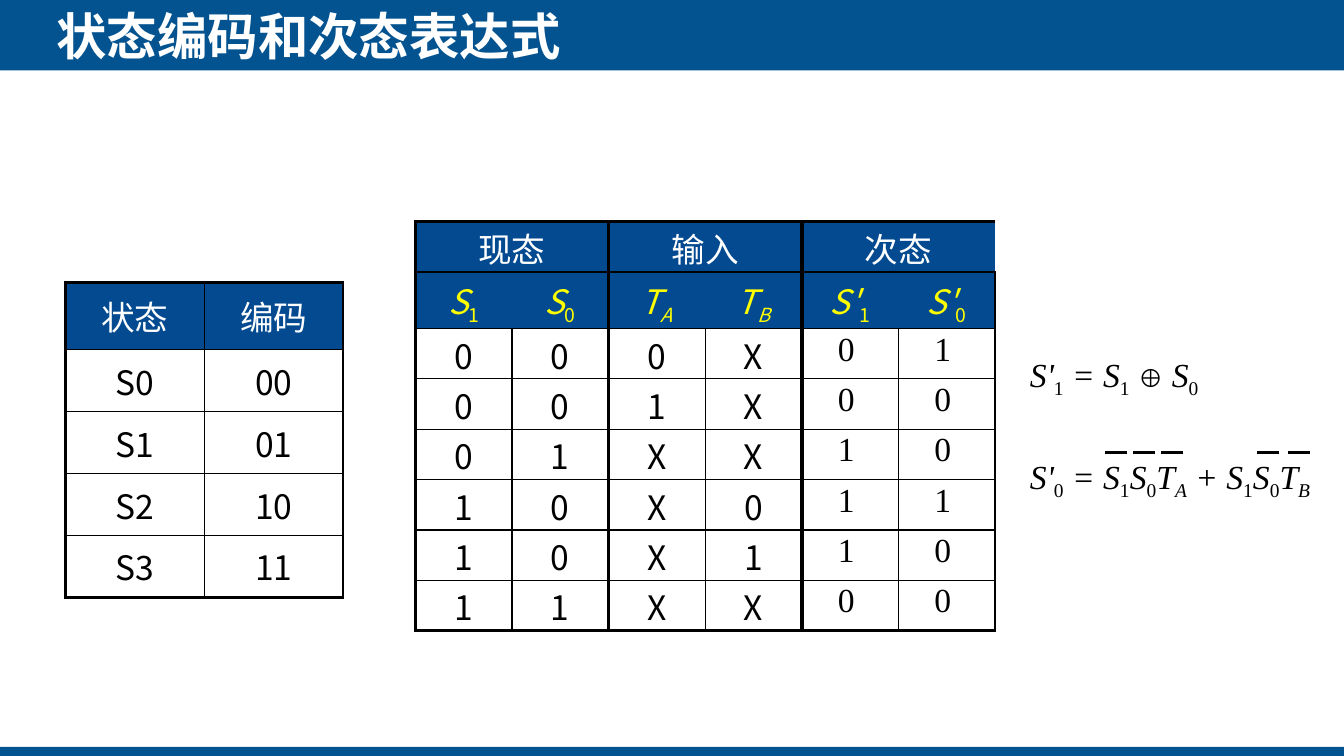
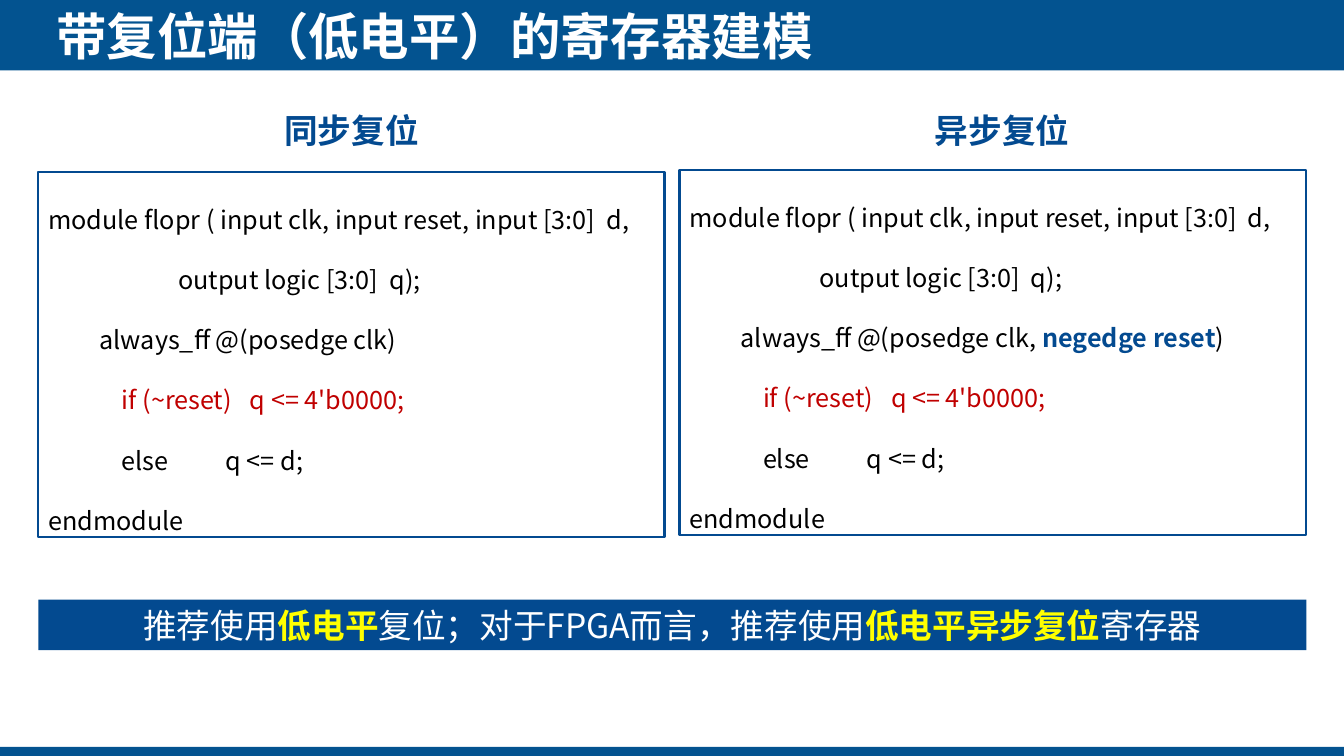
from lxml.etree import SubElement
from pptx import Presentation
from pptx.dml.color import RGBColor
from pptx.enum.shapes import MSO_CONNECTOR, MSO_SHAPE
from pptx.enum.text import MSO_ANCHOR, MSO_AUTO_SIZE, PP_ALIGN
from pptx.oxml.ns import qn
from pptx.util import Inches, Pt

WIDE, HIGH = Inches(13.33), Inches(7.5)
BAND, NAVY, BLACK, WHITE = "035390", "034A90", "000000", "FFFFFF"
YELLOW, RED = "FFFF00", "C00000"
SANS, SERIF = "Noto Sans CJK SC", "Times New Roman"
HEAD = {"name": SANS, "size": Pt(36), "bold": True, "color": WHITE}
BODY = {"name": SANS, "size": Pt(24), "color": BLACK}
LABEL = {**BODY, "color": WHITE}
CODE = {**BODY, "size": Pt(18)}
MATH = {**BODY, "name": SERIF}
MARK = {"color": YELLOW, "bold": True}
CENTER, LEFT = PP_ALIGN.CENTER, PP_ALIGN.LEFT
MIDDLE, BOTTOM = MSO_ANCHOR.MIDDLE, MSO_ANCHOR.BOTTOM


def place(box):
    """Turn a box in percent of the slide into lengths."""
    x, y, w, h = box
    return [int(part * side / 100) for part, side in zip((x, y, w, h), (WIDE, HIGH) * 2)]


def paint(fill, color):
    """Fill with a hex colour, or clear the fill."""
    if color:
        fill.solid()
        fill.fore_color.rgb = RGBColor.from_string(color)
    else:
        fill.background()


def write(par, runs, style, **form):
    """Write runs of (text, changes) into a paragraph."""
    for key, value in form.items():
        setattr(par, key, value)
    for text, change in runs:
        run = par.add_run()
        run.text = text
        look = {**style, **change}
        paint(run.font.fill, look.pop("color"))
        base = look.pop("base", 0)
        for key, value in look.items():
            setattr(run.font, key, value)
        props = run._r.get_or_add_rPr()
        SubElement(props, qn("a:ea")).set("typeface", look["name"])
        if base:
            props.set("baseline", str(base))


def terms(text):
    """Split a formula into runs; the sign after each underscore is a subscript."""
    runs = []
    for spot, chunk in enumerate(text.split("_")):
        if spot:
            runs.append((chunk[0], {"base": -25000, "italic": chunk[0].isalpha()}))
            chunk = chunk[1:]
        for bit in chunk.partition("⊕"):
            if bit == "⊕":
                runs.append((bit, {"name": "Arial", "size": Pt(18)}))
            elif bit:
                runs.append((bit, {"italic": True}))
    return runs


def block(slide, box, fill=None, line=None):
    """Add a flat rectangle."""
    shape = slide.shapes.add_shape(MSO_SHAPE.RECTANGLE, *place(box))
    shape.shadow.inherit = False
    paint(shape.fill, fill)
    paint(shape.line.fill, line)
    if line:
        shape.line.width = Pt(1.5)
    return shape


def setup(frame, **form):
    """Set wrapping, size and anchor of a text frame."""
    look = {"word_wrap": True, "auto_size": MSO_AUTO_SIZE.NONE,
            "vertical_anchor": MIDDLE, **form}
    for key, value in look.items():
        setattr(frame, key, value)
    return frame


def label(slide, box, runs, style, **form):
    """Add a one-line centred text box."""
    frame = setup(slide.shapes.add_textbox(*place(box)).text_frame)
    write(frame.paragraphs[0], runs, style, alignment=CENTER, **form)


def start(deck, title):
    """Add a slide with its title."""
    slide = deck.slides.add_slide(deck.slide_layouts[5])
    head = slide.shapes.title
    head.left, head.top, head.width, head.height = place((4.2, 0.67, 64.3, 8.13))
    sides = ("margin_left", "margin_top", "margin_right", "margin_bottom")
    frame = setup(head.text_frame, **dict.fromkeys(sides, 0))
    write(frame.paragraphs[0], [(title, {})], HEAD, alignment=LEFT)
    return slide


def bands(deck, slide):
    """Move the top and bottom bands onto the shared layout."""
    tree = deck.slide_layouts[5].shapes._spTree
    for box in ((0, 0, 100, 9.33), (0, 98.8, 100, 1.2)):
        tree.insert(2, block(slide, box, BAND)._element)


def border(cell, widths):
    """Draw the left, right, top and bottom borders of a cell."""
    props = cell._tc.get_or_add_tcPr()
    for side, width in zip("LRTB", widths):
        edge = SubElement(props, qn("a:ln" + side), w=str(int(Pt(width))))
        if width:
            solid = SubElement(edge, qn("a:solidFill"))
            SubElement(solid, qn("a:srgbClr"), val=BLACK)
        else:
            SubElement(edge, qn("a:noFill"))


def grid(slide, box, rows, shares, heads, anchor, pad, gap, thick=()):
    """Add a table; paired heading columns share one cell."""
    down, across = len(rows), len(rows[0])
    left, top, wide, high = place(box)
    table = slide.shapes.add_table(down, across, left, top, wide, high).table
    table.first_row = table.horz_banding = False
    for col in table.columns:
        col.width = wide // across
    for row, share in zip(table.rows, shares):
        row.height = int(high * share / sum(shares))

    def rule(row, line):
        """Give the width of a vertical line."""
        if line in (0, across):
            return 2.25
        if line in thick:
            return 3
        return 0 if thick and row < heads and line % 2 else 1

    for r, row in enumerate(rows):
        for c, runs in enumerate(row):
            cell = table.cell(r, c)
            border(cell, (rule(r, c), rule(r, c + 1),
                          1 if r else 2.25, 1 if r < down - 1 else 2.25))
            paint(cell.fill, NAVY if r < heads else None)
            cell.vertical_anchor = anchor
            cell.margin_top = cell.margin_bottom = pad
            if runs:
                write(cell.text_frame.paragraphs[0], runs, LABEL if r < heads else BODY,
                      alignment=CENTER, space_before=gap)
    return table


def plain(*words):
    """Make a table row of plain words."""
    return [[(word, {})] if word else [] for word in words]


def codes(slide, box):
    """Add the state coding table."""
    pairs = ("状态", "编码"), ("S0", "00"), ("S1", "01"), ("S2", "10"), ("S3", "11")
    rows = [plain(*pair) for pair in pairs]
    grid(slide, box, rows, [67] + [61.5] * 4, 1, MIDDLE, Inches(0.05), Pt(2))


def states(slide, box):
    """Add the state transition table with its next-state digits."""
    names = ("S_1", "S_0", "T_A", "T_B", "S'_1", "S'_0")
    keys = [[(text, {**look, "color": YELLOW}) for text, look in terms(name)]
            for name in names]
    body = [plain(*line, "", "") for line in ("000X", "001X", "01XX", "10X0", "10X1", "11XX")]
    rows = [plain("现态", "", "输入", "", "次态", ""), keys, *body]
    shares = [50, 56] + [50] * 6
    table = grid(slide, box, rows, shares, 2, BOTTOM, 0, Pt(1), (2, 4))
    for c in (0, 2, 4):
        table.cell(0, c).merge(table.cell(0, c + 1))
    x, y, w, h = box
    step, row = w / 6, h * 50 / sum(shares)
    first = y + h * 106 / sum(shares) - 0.8
    for r, digits in enumerate(("01", "00", "10", "11", "10", "00")):
        for c, digit in enumerate(digits, 4):
            spot = (x + c * step - 0.3, first + r * row, step, row)
            label(slide, spot, [(digit, {})], MATH, space_before=Pt(2))


def logic(slide, box):
    """Add the next-state formulas and the bars over negated terms."""
    x, y, w, h = box
    frame = setup(slide.shapes.add_textbox(*place(box)).text_frame,
                  vertical_anchor=MSO_ANCHOR.TOP)
    write(frame.paragraphs[0], terms("S'_1 = S_1 ⊕ S_0"), MATH, space_before=Pt(2))
    write(frame.add_paragraph(), terms("S'_0 = S_1S_0T_A + S_1S_0T_B"), MATH,
          space_before=Pt(40))
    for shift in (6.3, 8.4, 10.5, 17.65, 19.95):
        left, top, wide, _ = place((x + shift, y + 13.73, 1.63, 0))
        bar = slide.shapes.add_connector(MSO_CONNECTOR.STRAIGHT, left, top, left + wide, top)
        paint(bar.line.fill, BLACK)
        bar.line.width = Pt(1.5)
        SubElement(bar._element.spPr, qn("a:effectLst"))


def panel(slide, box, title, shift, clock):
    """Add a code panel with its heading."""
    x, y, w, h = box
    label(slide, (x + w * 0.18 + shift, 13.87, w * 0.64, 6.67), [(title, {})],
          {**BODY, "color": NAVY, "bold": True})
    lines = (
        ([("module flopr ( input clk, input reset, input [3:0]  d,", {})], ()),
        ([("\toutput logic [3:0]  q);", {})], (1.29,)),
        ([("\talways_ff @(posedge clk", {}), *clock, (")", {})], (0.51,)),
        ([("\tif (~reset)\tq <= 4'b0000;", {"color": RED})], (0.73, 2)),
        ([("\telse\tq <= d;", {})], (0.73, 1.76)),
        ([("endmodule", {})], ()),
    )
    frame = setup(block(slide, box, line=NAVY).text_frame)
    for spot, (runs, stops) in enumerate(lines):
        par = frame.add_paragraph() if spot else frame.paragraphs[0]
        write(par, runs, CODE, alignment=LEFT, line_spacing=Pt(43))
        if stops:
            tabs = SubElement(par._p.get_or_add_pPr(), qn("a:tabLst"))
            for stop in stops:
                SubElement(tabs, qn("a:tab"), pos=str(int(Inches(stop))), algn="l")


def note(slide, box):
    """Add the advice bar."""
    runs = [("推荐使用", {}), ("低电平", MARK), ("复位；对于FPGA而言，推荐使用", {}),
            ("低电平异步复位", MARK), ("寄存器", {})]
    frame = setup(block(slide, box, NAVY).text_frame)
    write(frame.paragraphs[0], runs, LABEL, alignment=CENTER)


def main():
    """Build and save the deck."""
    deck = Presentation()
    deck.slide_width, deck.slide_height = WIDE, HIGH
    slide = start(deck, "状态编码和次态表达式")
    bands(deck, slide)
    codes(slide, (4.88, 37.33, 20.65, 41.7))
    states(slide, (30.9, 29.33, 43.15, 54.1))
    logic(slide, (75.9, 46.13, 24, 18.93))
    slide = start(deck, "带复位端（低电平）的寄存器建模")
    panel(slide, (2.85, 22.8, 46.6, 48.25), "同步复位", 0, [])
    panel(slide, (50.56, 22.53, 46.6, 48.25), "异步复位", 0.7,
          [(", ", {}), ("negedge reset", {"color": NAVY, "bold": True})])
    note(slide, (2.85, 79.33, 94.35, 6.67))
    deck.save("out.pptx")


if __name__ == "__main__":
    main()
